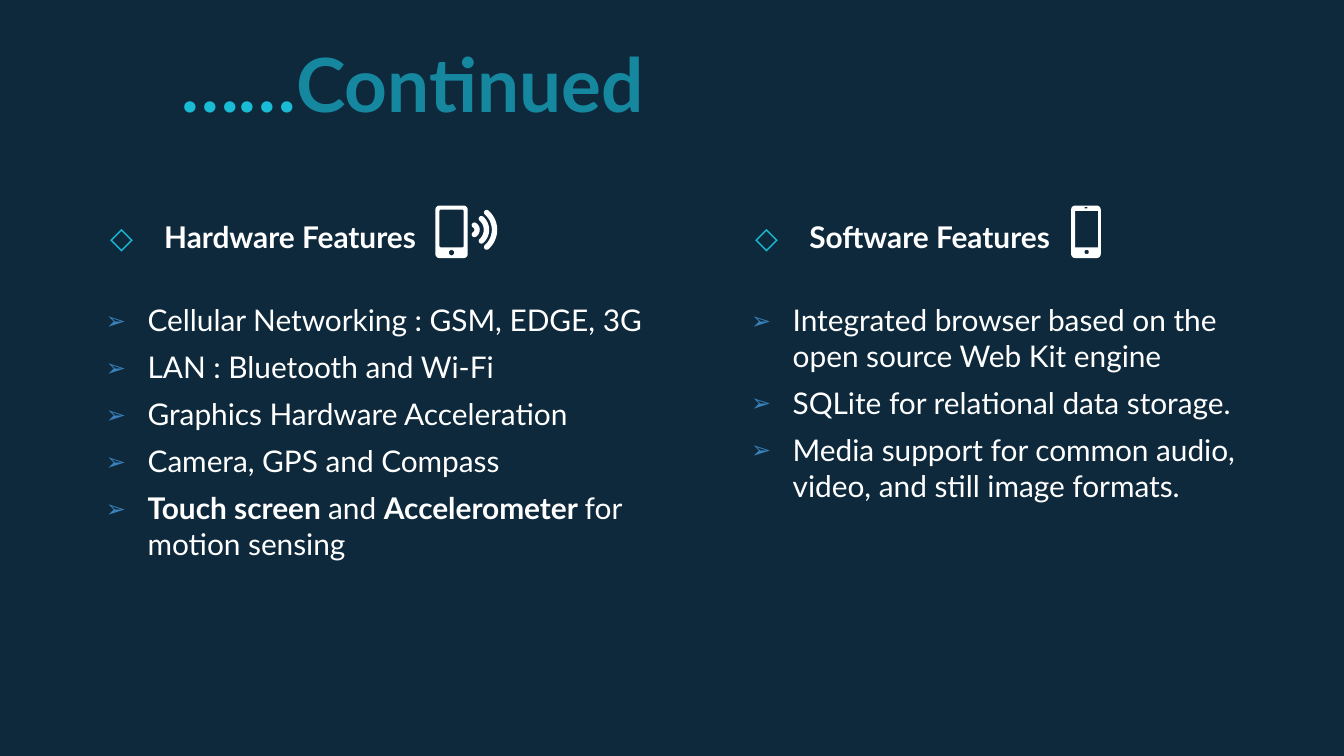
from math import cos, pi, radians, sin

from lxml import etree
from pptx import Presentation
from pptx.dml.color import RGBColor
from pptx.enum import text
from pptx.oxml import ns
from pptx.util import Inches, Pt

THEME = {
    "background": "0E293C", "accent": "19BBD5", "title": "15879F",
    "arrow": "3A81BA", "body": "FFFFFF",
    "font": "Lato", "title_size": 40, "body_size": 16,
}

# A run is (words, bold, colour name).
TITLE = [("……", True, "accent"), ("Continued", True, "title")]
COLUMNS = [
    {"box": (0.6, 1.53, 4.49, 3.44), "heading": " Hardware Features", "items": [
        [("Cellular Networking : GSM, EDGE, 3G", False, "body")],
        [("LAN : Bluetooth and Wi-Fi", False, "body")],
        [("Graphics Hardware Acceleration", False, "body")],
        [("Camera, GPS and Compass", False, "body")],
        [("Touch screen ", True, "body"), ("and ", False, "body"),
         ("Accelerometer ", True, "body"), ("for motion sensing", False, "body")],
    ]},
    {"box": (5.4, 1.53, 4.15, 3.44), "heading": " Software Features", "items": [
        [("Integrated browser based on the open source Web Kit engine", False, "body")],
        [("SQLite for relational data storage.", False, "body")],
        [("Media support for common audio, video, and still image formats.", False, "body")],
    ]},
]
HEADING = {"bullet": "◇", "color": "accent", "size": 100, "margin": 0.47, "indent": -0.35}
ITEM = {"bullet": "➢", "color": "arrow", "size": 80, "margin": 0.4, "indent": -0.31}
ITEM_GAP = 6
LIST_GAP = ITEM_GAP + 1.2 * THEME["body_size"]  # one line between heading and list

# Rounded rectangles: left, top, width, height, corner radius. The first is the
# body of the phone, the others are cut out of it.
SIGNAL_PHONE = [(3.24, 1.53, 0.24, 0.39, 0.03), (3.27, 1.56, 0.18, 0.28, 0.01),
                (3.34, 1.86, 0.04, 0.04, 0.02)]
PLAIN_PHONE = [(7.97, 1.53, 0.22, 0.39, 0.03), (8, 1.57, 0.17, 0.27, 0),
               (8.07, 1.86, 0.03, 0.03, 0.01), (8.07, 1.54, 0.02, 0.01, 0)]
WAVE_CENTER = (3.51, 1.71)
WAVES = [(0.17, 49), (0.11, 49), (0.04, 60)]  # middle radius, half angle
WAVE_HALF_WIDTH = 0.02


def color(name):
    return RGBColor.from_string(THEME[name])


def arc(x, y, radius, start, end, steps=8):
    """Points on a circle, from start to end in degrees."""
    angles = (radians(start + (end - start) * i / steps) for i in range(steps + 1))
    return [(x + radius * cos(a), y + radius * sin(a)) for a in angles]


def rounded_outline(left, top, width, height, radius):
    right, bottom = left + width - radius, top + height - radius
    left, top = left + radius, top + radius
    corners = [(left, top), (right, top), (right, bottom), (left, bottom)]
    return [point for i, (x, y) in enumerate(corners)
            for point in arc(x, y, radius, 180 + 90 * i, 270 + 90 * i)]


def wave_outline(radius, angle):
    """An arc-shaped band with round ends, open to the left."""
    x, y = WAVE_CENTER
    turn = angle * pi / 180
    tip_x, reach = x + radius * cos(turn), radius * sin(turn)
    half = WAVE_HALF_WIDTH
    return (arc(x, y, radius + half, -angle, angle, 16)
            + arc(tip_x, y + reach, half, angle, angle + 180)
            + arc(x, y, radius - half, angle, -angle, 16)
            + arc(tip_x, y - reach, half, 180 - angle, 360 - angle))


def add_outline(shapes, contours):
    """One white shape; contours inside the first one become holes."""
    contours = [[(Inches(x), Inches(y)) for x, y in points] for points in contours]
    builder = shapes.build_freeform(*contours[0][0])
    for i, points in enumerate(contours):
        if i:
            builder.move_to(*points[0])
        builder.add_line_segments(points[1:], close=True)
    shape = builder.convert_to_shape()
    shape.shadow.inherit = False
    shape.fill.solid()
    shape.fill.fore_color.rgb = color("body")
    shape.line.fill.background()


def add_phone(shapes, parts):
    add_outline(shapes, [rounded_outline(*part) for part in parts])


def add_text_box(page, place, anchor):
    frame = page.shapes.add_textbox(*map(Inches, place)).text_frame
    settings = {"word_wrap": True, "vertical_anchor": anchor}
    settings.update({f"margin_{side}": Inches(0.1)
                     for side in ("left", "top", "right", "bottom")})
    for name, value in settings.items():
        setattr(frame, name, value)
    return frame


def fill_paragraph(para, runs, size):
    for words, bold, color_name in runs:
        span = para.add_run()
        span.text = words
        for name, value in {"name": THEME["font"], "size": Pt(size), "bold": bold}.items():
            setattr(span.font, name, value)
        span.font.color.rgb = color(color_name)


def add_bullet(para, style):
    properties = para._p.get_or_add_pPr()
    properties.set("marL", str(Inches(style["margin"])))
    properties.set("indent", str(Inches(style["indent"])))
    tint = etree.SubElement(properties, ns.qn("a:buClr"))
    etree.SubElement(tint, ns.qn("a:srgbClr"), val=THEME[style["color"]])
    etree.SubElement(properties, ns.qn("a:buSzPct"), val=str(style["size"] * 1000))
    etree.SubElement(properties, ns.qn("a:buFont"), typeface=THEME["font"])
    etree.SubElement(properties, ns.qn("a:buChar"), char=style["bullet"])


def add_column(page, column):
    frame = add_text_box(page, column["box"], text.MSO_ANCHOR.TOP)
    para = frame.paragraphs[0]
    fill_paragraph(para, [(column["heading"], True, "body")], THEME["body_size"])
    add_bullet(para, HEADING)
    for i, runs in enumerate(column["items"]):
        para = frame.add_paragraph()
        para.space_before = Pt(ITEM_GAP if i else LIST_GAP)
        fill_paragraph(para, runs, THEME["body_size"])
        add_bullet(para, ITEM)


def main():
    deck = Presentation()
    deck.slide_width = Inches(10)
    deck.slide_height = deck.slide_width * 9 // 16
    page = deck.slides.add_slide(deck.slide_layouts[6])
    page.background.fill.solid()
    page.background.fill.fore_color.rgb = color("background")

    title = add_text_box(page, (1.25, 0.34, 5.41, 0.71), text.MSO_ANCHOR.BOTTOM)
    fill_paragraph(title.paragraphs[0], TITLE, THEME["title_size"])
    for column in COLUMNS:
        add_column(page, column)

    signal_icon = page.shapes.add_group_shape()
    add_phone(signal_icon.shapes, SIGNAL_PHONE)
    for radius, angle in WAVES:
        add_outline(signal_icon.shapes, [wave_outline(radius, angle)])
    add_phone(page.shapes, PLAIN_PHONE)
    deck.save("out.pptx")


if __name__ == "__main__":
    main()
